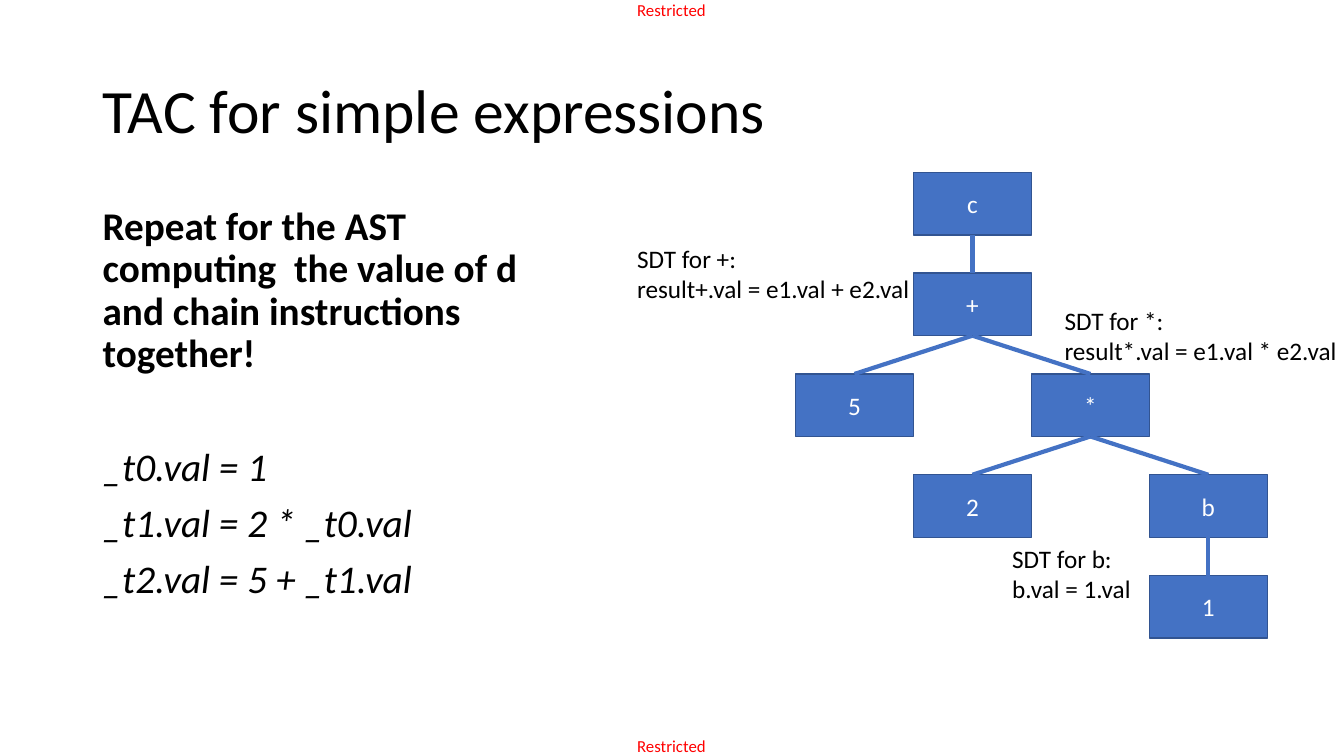
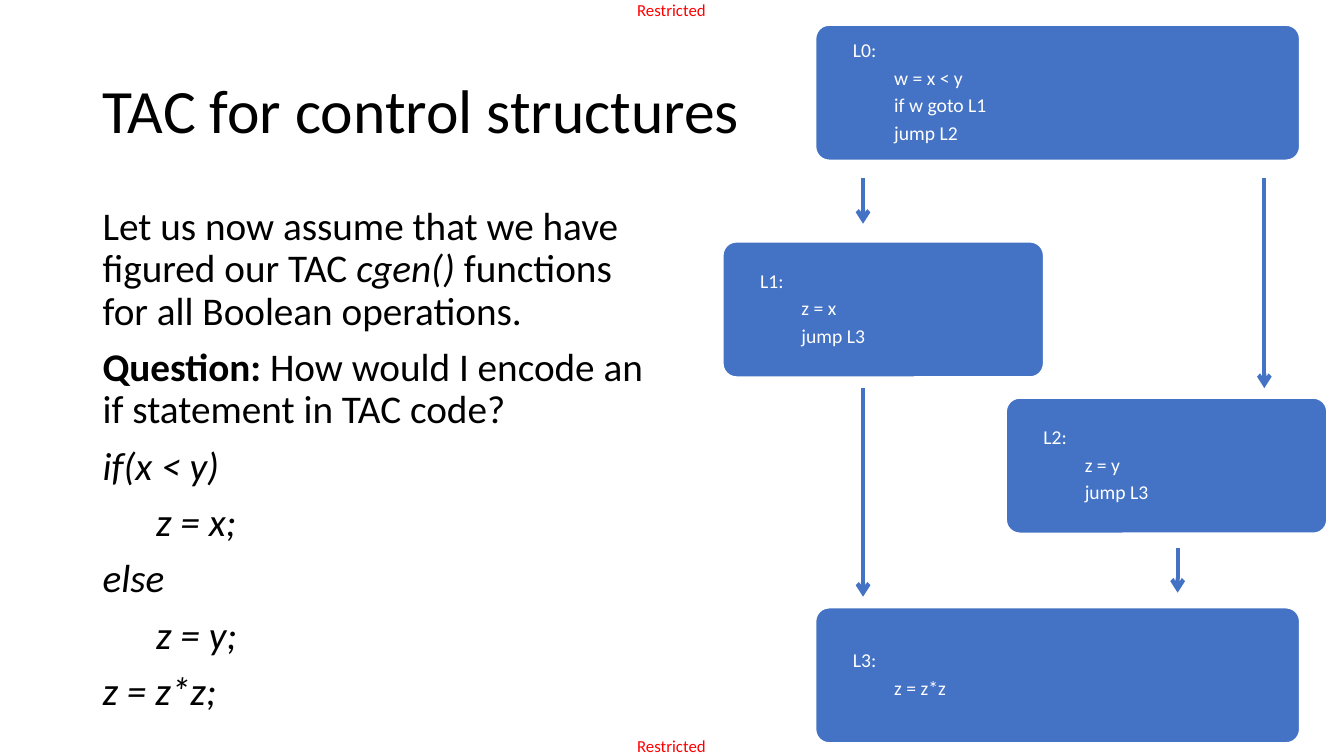
from lxml import etree
from pptx import Presentation
from pptx.dml.color import RGBColor
from pptx.enum import shapes, text
from pptx.oxml import ns
from pptx.util import Inches, Pt

BLACK = RGBColor(0x00, 0x00, 0x00)
WHITE = RGBColor(0xFF, 0xFF, 0xFF)
RED = RGBColor(0xFF, 0x00, 0x00)
BLUE = RGBColor(0x44, 0x72, 0xC4)
NAVY = RGBColor(0x32, 0x54, 0x91)
FONT = "Calibri"
LEFT, MID = text.PP_ALIGN.LEFT, text.PP_ALIGN.CENTER
TOP, CENTER = text.MSO_ANCHOR.TOP, text.MSO_ANCHOR.MIDDLE
RECT = shapes.MSO_SHAPE.RECTANGLE
ROUND = shapes.MSO_SHAPE.ROUNDED_RECTANGLE


def inches(*sizes):
    return [Inches(size) for size in sizes]


class Deck:
    """Holds the style and the current slide."""

    def __init__(self):
        self.prs = Presentation()
        self.prs.slide_width, self.prs.slide_height = inches(13.33, 7.5)
        self.slide = None

    def page(self, title):
        self.slide = self.prs.slides.add_slide(self.prs.slide_layouts[6])
        for top in (0, 7.3):
            self.note((6.32, top, 0.73, 0.2), ["Restricted"],
                      size=12, color=RED, pad=(0, 0))
        self.note((0.92, 0.4, 11.5, 1.45), [title], size=44,
                  anchor=CENTER, spacing=0.9)

    def fill_text(self, frame, lines, size=18, color=BLACK, align=LEFT,
                  anchor=TOP, pad=(0.1, 0.05), spacing=1.0, before=0,
                  after=0):
        """Each line is a string or a dict of runs, indent and gap before."""
        side, edge = inches(*pad)
        form = {"word_wrap": True, "vertical_anchor": anchor,
                "margin_left": side, "margin_right": side,
                "margin_top": edge, "margin_bottom": edge}
        for name, value in form.items():
            setattr(frame, name, value)
        for n, line in enumerate(lines):
            if isinstance(line, str):
                line = {"runs": [(line, "")]}
            para = frame.paragraphs[0] if n == 0 else frame.add_paragraph()
            gap = line.get("before", before) if n else 0
            form = {"alignment": align, "line_spacing": spacing,
                    "space_before": Pt(gap), "space_after": Pt(after)}
            for name, value in form.items():
                setattr(para, name, value)
            if "indent" in line:
                para._p.get_or_add_pPr().set(
                    "marL", str(Inches(line["indent"])))
            for words, style in line["runs"]:
                run = para.add_run()
                run.text = words
                form = {"name": FONT, "size": Pt(size),
                        "bold": "b" in style, "italic": "i" in style}
                for name, value in form.items():
                    setattr(run.font, name, value)
                run.font.color.rgb = color

    def note(self, area, lines, **style):
        box = self.slide.shapes.add_textbox(*inches(*area))
        self.fill_text(box.text_frame, lines, **style)

    def body(self, width, lines):
        self.note((0.92, 2, width, 5.5), lines, size=28,
                  spacing=0.9, before=10)

    def box(self, kind, area, edge, lines, **style):
        shape = self.slide.shapes.add_shape(kind, *inches(*area))
        shape.shadow.inherit = False
        shape.fill.solid()
        shape.fill.fore_color.rgb = BLUE
        shape.line.color.rgb = edge
        shape.line.width = Pt(1)
        if kind == ROUND:
            shape.adjustments[0] = 0.1
        self.fill_text(shape.text_frame, lines, color=WHITE, anchor=CENTER,
                       **style)
        return shape

    def block(self, area, label, *code):
        lines = [{"runs": [(label, "")], "indent": 0.27}]
        lines += [{"runs": [(row, "")], "indent": 0.68} for row in code]
        self.box(ROUND, area, WHITE, lines, size=14, pad=(0.06, 0.06),
                 spacing=0.9, after=4.6)

    def line(self, ends=(0, 0, 0, 0)):
        link = self.slide.shapes.add_connector(
            shapes.MSO_CONNECTOR.STRAIGHT, *inches(*ends))
        link.line.color.rgb = BLUE
        link.line.width = Pt(3)
        etree.SubElement(link._element.spPr, ns.qn("a:effectLst"))
        return link

    def join(self, upper, lower):
        link = self.line()
        link.begin_connect(upper, 2)
        link.end_connect(lower, 0)

    def arrow(self, x, top, end):
        link = self.line((x, top, x, end))
        edge = link._element.spPr.find(ns.qn("a:ln"))
        tail = etree.SubElement(edge, ns.qn("a:tailEnd"))
        tail.set("type", "arrow")


def simple(deck):
    deck.page("TAC for simple expressions")
    deck.body(4.99, [
        {"runs": [("Repeat for the AST computing  the value of d "
                   "and chain instructions together!", "b")]},
        {"runs": [("_t0.val = 1", "i")], "before": 51},
        {"runs": [("_t1.val = 2 * _t0.val", "i")]},
        {"runs": [("_t2.val = 5 + _t1.val", "i")]},
    ])

    # Syntax tree: sign -> column, row, parent
    tree = {"c": (1, 0, None), "+": (1, 1, "c"), "5": (0, 2, "+"),
            "*": (2, 2, "+"), "2": (1, 3, "*"), "b": (3, 3, "*"),
            "1": (3, 4, "b")}
    wide = 1.17
    nodes = {}
    for sign, (col, row, root) in tree.items():
        area = (7.89 + col * wide, 1.71 + row, wide, 0.62)
        nodes[sign] = deck.box(RECT, area, NAVY, [sign], align=MID)
        if root:
            deck.join(nodes[root], nodes[sign])

    # Translation rules beside the nodes
    for left, top, width, sign, rule in (
            (6.22, 2.36, 2.98, "+", "result+.val = e1.val + e2.val"),
            (10.46, 2.98, 3.06, "*", "result*.val = e1.val * e2.val"),
            (9.94, 5.34, 1.46, "b", "b.val = 1.val")):
        deck.note((left, top, width, 0.71), [f"SDT for {sign}:", rule])


def control(deck):
    deck.page("TAC for control structures")
    deck.body(5.67, [
        {"runs": [("Let us now assume that we have figured our TAC ", ""),
                  ("cgen() ", "i"),
                  ("functions for all Boolean operations.", "")]},
        {"runs": [("Question: ", "b"),
                  ("How would I encode an if statement in TAC code?", "")]},
        {"runs": [("if(x < y)", "i")]},
        {"runs": [("z = x;", "i")], "indent": 0.53},
        {"runs": [("else", "i")]},
        {"runs": [("z = y;", "i")], "indent": 0.53},
        {"runs": [("z = z*z;", "i")]},
    ])

    # Flow of the labelled blocks
    wide, slim, high = 4.8, 3.18, 1.34
    deck.block((8.09, 0.25, wide, high), "L0:",
               "w = x < y", "if w goto L1", "jump L2")
    deck.block((7.17, 2.4, slim, high), "L1:", "z = x", "jump L3")
    deck.block((9.98, 3.95, slim, high), "L2:", "z = y", "jump L3")
    deck.block((8.09, 6.03, wide, high), "L3:", "z = z*z")
    for x, top, end in ((8.56, 1.77, 2.22), (12.54, 1.77, 3.85),
                        (11.68, 5.44, 5.88), (8.56, 3.85, 5.92)):
        deck.arrow(x, top, end)


def main():
    deck = Deck()
    simple(deck)
    control(deck)
    deck.prs.save("out.pptx")


if __name__ == "__main__":
    main()
